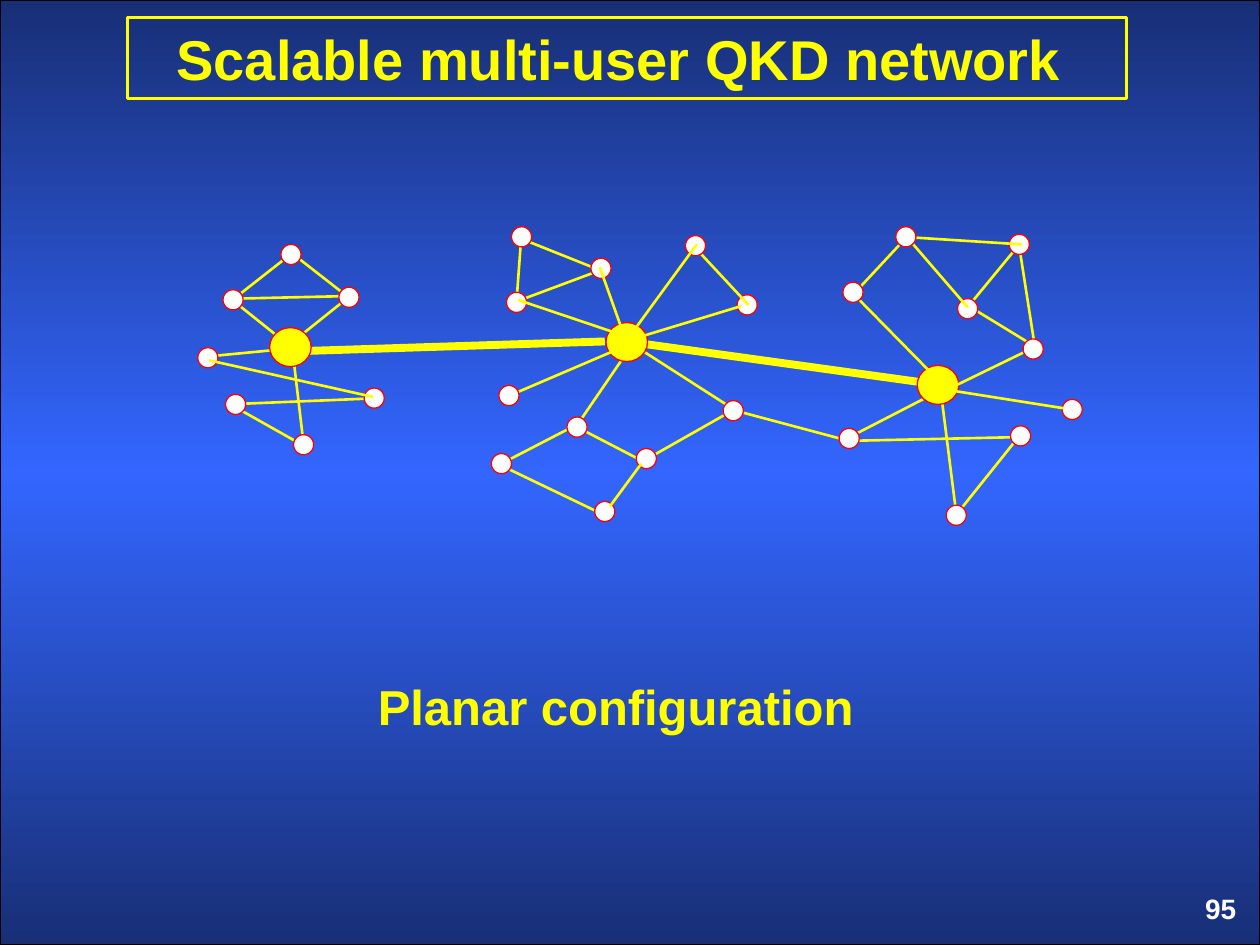
from copy import deepcopy
from pptx import Presentation
from pptx.dml.color import RGBColor
from pptx.enum.shapes import MSO_CONNECTOR, MSO_SHAPE
from pptx.enum.text import MSO_ANCHOR, MSO_AUTO_SIZE, PP_ALIGN
from pptx.oxml.ns import qn
from pptx.util import Inches, Pt
from lxml.etree import SubElement

THEME = {
    "font": "Arial", "title": 32, "label": 28, "page": 16,
    "gold": "FFFF00", "white": "FFFFFF", "red": "FF0000", "black": "000000",
    "deep": "182F76", "blue": "3366FF",
    "thin": 0.75, "link": 1.5, "trunk": 4.5,
}
DOT = (0.16, 0.16)
HUB = (0.33, 0.31)

TITLE = "Scalable multi-user QKD network "
LABEL = "Planar configuration"
PAGE = "95"

TRUNKS = [(4.8, 2.71, 2.29, 2.79), (7.43, 3.05, 4.97, 2.71)]
HUBS = [(4.81, 2.56), (2.14, 2.6), (7.28, 2.9)]

BASE_LINKS = [
    (4.78, 4.08, 4.01, 3.71), (5.84, 3.26, 6.74, 3.5), (8.06, 3.47, 6.69, 3.5),
    (5.81, 3.26, 5.14, 3.64), (8.09, 1.96, 8.21, 2.73), (8.09, 1.94, 7.67, 2.45),
    (3.94, 3.7, 4.54, 3.39), (7.44, 3.11, 6.78, 3.45), (8.05, 3.51, 7.61, 4.06),
    (7.47, 3.13, 7.59, 4.08), (5.12, 3.67, 4.58, 3.39), (4.08, 2.4, 4.75, 2.15),
    (4.1, 2.39, 4.14, 1.84), (4.8, 2.16, 4.1, 1.88), (5.81, 3.24, 5.03, 2.74),
    (4.57, 3.39, 4.98, 2.79), (2.45, 3.56, 1.9, 3.25), (2.42, 3.61, 2.3, 2.6),
    (3.01, 3.16, 1.79, 3.21), (2.37, 2.76, 1.64, 2.83), (2.33, 2.77, 1.83, 2.37),
    (2.24, 2.78, 2.74, 2.38), (1.82, 2.4, 2.33, 2), (2.83, 2.41, 2.33, 2.02),
    (2.75, 2.35, 1.89, 2.37),
]
BASE_DOTS = [
    (4.69, 2.05), (5.85, 2.34), (4.02, 2.32), (5.74, 3.18), (4.5, 3.31),
    (2.23, 1.94), (2.69, 2.28), (1.77, 2.3), (1.57, 2.76), (2.89, 3.08),
    (1.79, 3.13), (2.33, 3.45), (8.02, 3.38), (6.66, 3.4), (7.51, 4.01),
    (4.06, 1.8),
]
MID_LINKS = [
    (2.96, 3.15, 1.66, 2.86), (5.88, 2.43, 4.96, 2.71), (4.02, 3.15, 5, 2.73),
    (4.97, 2.71, 4.76, 2.12), (4.97, 2.67, 4.11, 2.38), (5.94, 2.42, 5.54, 1.99),
    (8.23, 2.76, 7.69, 2.43), (8.16, 2.78, 7.42, 3.14), (6.81, 2.37, 7.41, 2.98),
]
MID_DOTS = [
    (3.96, 3.06), (5.44, 1.87), (8.12, 2.69), (7.6, 2.37), (5.05, 3.56),
    (8.01, 1.86), (3.9, 3.6), (8.43, 3.17), (4.72, 3.98),
]
TOP_LINKS = [
    (4.96, 2.72, 5.53, 1.94), (8.11, 1.94, 7.17, 1.88), (7.24, 1.93, 7.68, 2.44),
    (6.77, 2.34, 7.17, 1.91), (8.44, 3.24, 7.49, 3.09), (4.84, 4.02, 5.09, 3.68),
]
TOP_DOTS = [(6.69, 2.24), (7.11, 1.8)]

LAYERS = [
    (BASE_LINKS, BASE_DOTS, HUBS),
    (MID_LINKS, MID_DOTS, []),
    (TOP_LINKS, TOP_DOTS, []),
]


def tint(name):
    return RGBColor.from_string(THEME[name])


def add_form(slide, kind, box, fill, line, width):
    form = slide.shapes.add_shape(kind, *map(Inches, box))
    form.shadow.inherit = False
    if fill:
        form.fill.solid()
        form.fill.fore_color.rgb = tint(fill)
    else:
        form.fill.background()
    form.line.color.rgb = tint(line)
    form.line.width = Pt(THEME[width])
    return form


def add_links(slide, links, width):
    for link in links:
        line = slide.shapes.add_connector(MSO_CONNECTOR.STRAIGHT, *map(Inches, link))
        line.line.color.rgb = tint("gold")
        line.line.width = Pt(THEME[width])
        SubElement(line._element.spPr, qn("a:effectLst"))


def add_nodes(slide, spots, size, fill):
    for spot in spots:
        add_form(slide, MSO_SHAPE.OVAL, spot + size, fill, "red", "thin")


def put_text(form, text, size, color="gold", align=PP_ALIGN.LEFT,
             wrap=True, grow=False, anchor=MSO_ANCHOR.TOP):
    frame = form.text_frame
    frame.word_wrap = wrap
    frame.auto_size = MSO_AUTO_SIZE.SHAPE_TO_FIT_TEXT if grow else MSO_AUTO_SIZE.NONE
    frame.vertical_anchor = anchor
    para = frame.paragraphs[0]
    para.alignment = align
    run = para.add_run()
    run.text = text
    run.font.name = THEME["font"]
    run.font.size = Pt(THEME[size])
    run.font.bold = True
    run.font.color.rgb = tint(color)


def add_ground(slide):
    form = add_form(slide, MSO_SHAPE.RECTANGLE, (0, 0, 10, 7.5), None, "black", "thin")
    fill = form.fill
    fill.gradient()
    fill.gradient_angle = 90
    stops = form._element.spPr.find(qn("a:gradFill")).find(qn("a:gsLst"))
    stops.append(deepcopy(stops[0]))
    for stop, place, name in zip(fill.gradient_stops, (0, 0.5, 1), ("deep", "blue", "deep")):
        stop.position = place
        stop.color.rgb = tint(name)


def main():
    deck = Presentation()
    deck.slide_width, deck.slide_height = Inches(10), Inches(7.5)
    slide = deck.slides.add_slide(deck.slide_layouts[6])
    add_ground(slide)
    page = slide.shapes.add_textbox(*map(Inches, (9.13, 7.03, 0.78, 0.52)))
    put_text(page, PAGE, "page", color="white", align=PP_ALIGN.RIGHT)

    add_links(slide, TRUNKS, "trunk")
    for links, dots, hubs in LAYERS:
        add_links(slide, links, "link")
        add_nodes(slide, dots, DOT, "white")
        add_nodes(slide, hubs, HUB, "gold")

    title = add_form(slide, MSO_SHAPE.RECTANGLE, (1.01, 0.14, 7.93, 0.64), None, "gold", "link")
    put_text(title, TITLE, "title", align=PP_ALIGN.CENTER, grow=True, anchor=MSO_ANCHOR.MIDDLE)
    label = slide.shapes.add_textbox(*map(Inches, (2.9, 5.32, 4.24, 0.57)))
    put_text(label, LABEL, "label", wrap=False, grow=True)
    deck.save("out.pptx")


if __name__ == "__main__":
    main()
